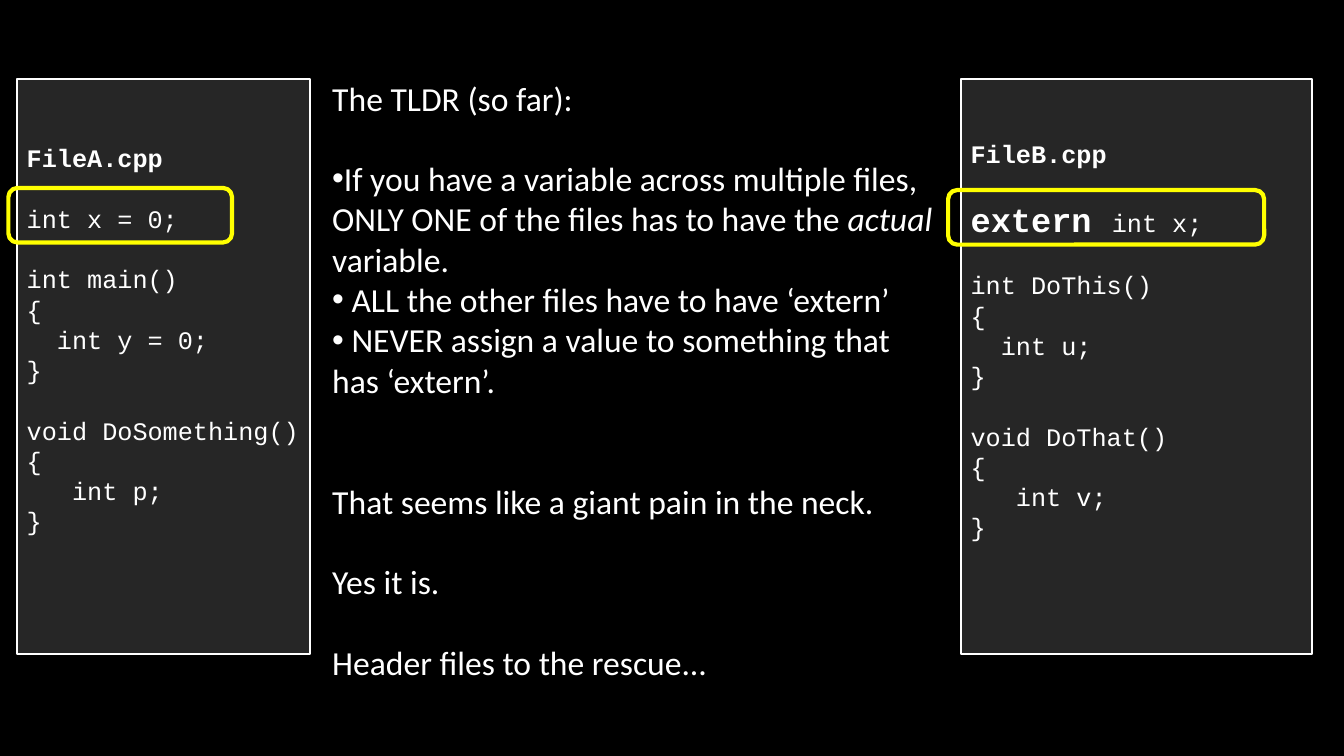
from lxml.etree import SubElement
from pptx import Presentation
from pptx.dml.color import RGBColor
from pptx.enum.shapes import MSO_SHAPE as Shape
from pptx.enum.text import MSO_ANCHOR as Anchor, PP_ALIGN as Align
from pptx.oxml.ns import qn
from pptx.util import Emu, Pt

PX = 9525
LINE_HEIGHT = 1.2


class Theme:
    background = RGBColor(0x00, 0x00, 0x00)
    panel = RGBColor(0x26, 0x26, 0x26)
    text = RGBColor(0xFF, 0xFF, 0xFF)
    highlight = RGBColor(0xFF, 0xFF, 0x00)
    code_font, code_size = "Courier New", 18
    body_font, body_size = "Calibri", 24
    keyword_size = 24
    panel_line, highlight_line = 1.5, 3


def box(left, top, width, height):
    return [Emu(value * PX) for value in (left, top, width, height)]


def write_paragraphs(text_frame, paragraphs, font_name, size):
    """Fill the frame from (gap in lines, run texts) pairs."""
    text_frame.word_wrap = True
    for index, (gap, texts) in enumerate(paragraphs):
        paragraph = text_frame.add_paragraph() if index else text_frame.paragraphs[0]
        paragraph.alignment = Align.LEFT
        paragraph.space_before = Pt(gap * size * LINE_HEIGHT)
        for text in texts:
            run = paragraph.add_run()
            run.text = text
            run.font.name = font_name
            run.font.size = Pt(size)
            run.font.color.rgb = Theme.text


presentation = Presentation()
presentation.slide_width, presentation.slide_height = Emu(1280 * PX), Emu(720 * PX)
slide = presentation.slides.add_slide(presentation.slide_layouts[6])
slide.background.fill.solid()
slide.background.fill.fore_color.rgb = Theme.background

# Code panels: box, top inset, paragraphs
file_a = [
    (0, ["FileA.cpp"]),
    (1, ["int x = 0;"]),
    (1, ["int main()"]),
    (0, ["{"]),
    (0, ["  int y = 0;"]),
    (0, ["}"]),
    (1, ["void DoSomething()"]),
    (0, ["{"]),
    (0, ["   int p;"]),
    (0, ["}"]),
]
file_b = [
    (0, ["FileB.cpp"]),
    (1, ["extern ", "int x;"]),
    (1, ["int DoThis()"]),
    (0, ["{"]),
    (0, ["  int u;"]),
    (0, ["}"]),
    (1, ["void DoThat()"]),
    (0, ["{"]),
    (0, ["   int v;"]),
    (0, ["}"]),
]
panels = [
    (box(16, 75, 279, 548), 61, file_a),
    (box(915, 75, 335, 548), 57, file_b),
]
for panel_box, top_inset, code in panels:
    panel = slide.shapes.add_shape(Shape.RECTANGLE, *panel_box)
    panel.shadow.inherit = False
    panel.fill.solid()
    panel.fill.fore_color.rgb = Theme.panel
    panel.line.color.rgb = Theme.text
    panel.line.width = Pt(Theme.panel_line)
    frame = panel.text_frame
    frame.vertical_anchor = Anchor.TOP
    frame.margin_top = Emu(top_inset * PX)
    write_paragraphs(frame, code, Theme.code_font, Theme.code_size)
    frame.paragraphs[0].runs[0].font.bold = True

keyword = frame.paragraphs[1].runs[0]
keyword.font.bold = True
keyword.font.size = Pt(Theme.keyword_size)

# Summary between the panels
summary = slide.shapes.add_textbox(*box(307, 69, 594, 591)).text_frame
write_paragraphs(summary, [
    (0, ["The TLDR (so far):"]),
    (1, ["If you have a variable across multiple files, ONLY ONE of the files "
         "has to have the ", "actual ", "variable."]),
    (0, [" ALL the other files have to have ‘extern’"]),
    (0, [" NEVER assign a value to something that has ‘extern’."]),
    (2, ["That seems like a giant pain in the neck."]),
    (1, ["Yes it is."]),
    (1, ["Header files to the rescue..."]),
], Theme.body_font, Theme.body_size)
rules = summary.paragraphs[1:4]
rules[0].runs[1].font.italic = True
for rule in rules:
    properties = rule._p.get_or_add_pPr()
    properties.set("marL", "0")
    properties.set("indent", "0")
    SubElement(properties, qn("a:buFont")).set("typeface", "Arial")
    SubElement(properties, qn("a:buChar")).set("char", "•")

# Frames around the two declarations of x
for highlight_box in (box(8, 179, 213, 52), box(903, 181, 301, 52)):
    highlight = slide.shapes.add_shape(Shape.ROUNDED_RECTANGLE, *highlight_box)
    highlight.shadow.inherit = False
    highlight.fill.background()
    highlight.line.color.rgb = Theme.highlight
    highlight.line.width = Pt(Theme.highlight_line)

presentation.save("out.pptx")
